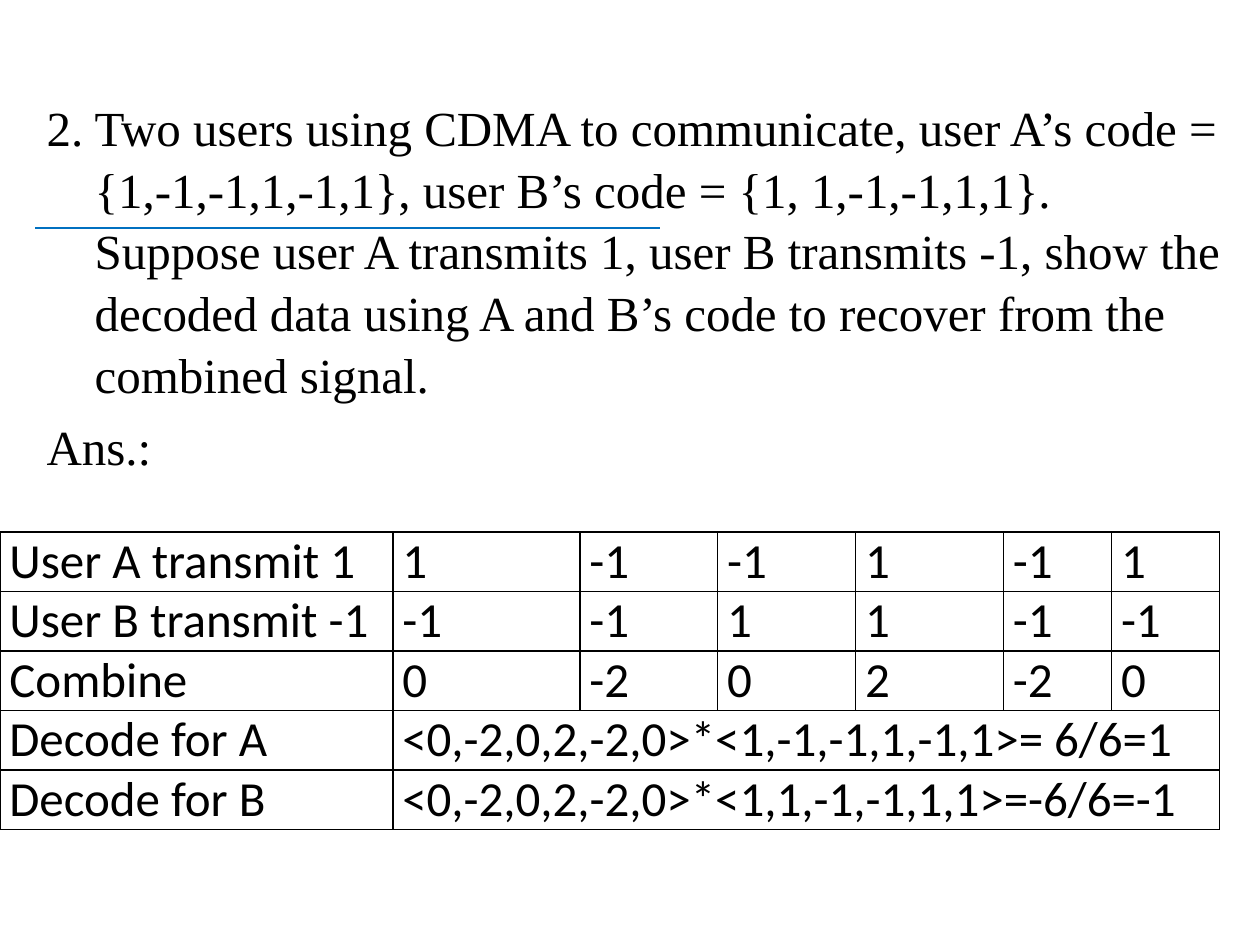
import pptx
import pptx.util
import pptx.dml.color
import pptx.enum.shapes
import pptx.enum.text
import pptx.oxml
import pptx.oxml.ns

Cm = pptx.util.Cm
Pt = pptx.util.Pt
NAMESPACE = pptx.oxml.ns.nsdecls("a")


def color(hex_value):
    return pptx.dml.color.RGBColor.from_string(hex_value)


def write(para, text, font_name, para_format):
    """Fill a paragraph with one black span and apply its format values."""
    for name, value in para_format.items():
        setattr(para, name, value)
    span = para.add_run()
    span.text = text
    for name, value in {"name": font_name, "size": Pt(28), "bold": False}.items():
        setattr(span.font, name, value)
    span.font.color.rgb = color("000000")


deck = pptx.Presentation()
deck.slide_width, deck.slide_height = Cm(25.4), Cm(19.05)
page = deck.slides.add_slide(deck.slide_layouts[6])

# Blue rule behind the text
rule = page.shapes.add_connector(
    pptx.enum.shapes.MSO_CONNECTOR.STRAIGHT, Cm(0.71), Cm(4.6), Cm(13.31), Cm(4.6))
rule.line.color.rgb = color("0070C0")
rule.line.width = Pt(1.25)
rule._element.spPr.append(pptx.oxml.parse_xml(f"<a:effectLst {NAMESPACE}/>"))

# Question and answer heading
box = page.shapes.add_textbox(Cm(0.69), Cm(1.78), Cm(24.18), Cm(15.24))
frame = box.text_frame
frame.word_wrap = True
texts = [
    "2. Two users using CDMA to communicate, user A’s code = {1,-1,-1,1,-1,1}, "
    "user B’s code = {1, 1,-1,-1,1,1}. Suppose user A transmits 1, user B transmits -1, "
    "show the decoded data using A and B’s code to recover from the combined signal.",
    "Ans.:",
]
for index, text in enumerate(texts):
    para = frame.add_paragraph() if index else frame.paragraphs[0]
    write(para, text, "Times New Roman", {"space_before": Pt(5.6), "line_spacing": 1.05})
    # Hanging indent
    properties = para._p.get_or_add_pPr()
    properties.set("marL", str(Cm(0.97)))
    properties.set("indent", str(-Cm(0.97)))

# Table of transmitted, combined and decoded signals
rows = [
    ["User A transmit 1", "1", "-1", "-1", "1", "-1", "1"],
    ["User B transmit -1", "-1", "-1", "1", "1", "-1", "-1"],
    ["Combine", "0", "-2", "0", "2", "-2", "0"],
    ["Decode for A", "<0,-2,0,2,-2,0>*<1,-1,-1,1,-1,1>= 6/6=1"],
    ["Decode for B", "<0,-2,0,2,-2,0>*<1,1,-1,-1,1,1>=-6/6=-1"],
]
widths = [7.92, 3.77, 2.78, 2.78, 2.98, 2.18, 2.18]
row_height = 1.2
table = page.shapes.add_table(
    len(rows), len(widths), Cm(0), Cm(10.72),
    Cm(sum(widths)), Cm(row_height * len(rows))).table
table.first_row = table.horz_banding = False
for column, width in zip(table.columns, widths):
    column.width = Cm(width)

cell_format = {"margin_left": Cm(0.19), "margin_right": Cm(0.19),
               "margin_top": 0, "margin_bottom": 0}
for row_index, values in enumerate(rows):
    table.rows[row_index].height = Cm(row_height)
    # A decoded result spans all the signal columns
    if len(values) < len(widths):
        table.cell(row_index, 1).merge(table.cell(row_index, len(widths) - 1))
    for column_index in range(len(widths)):
        cell = table.cell(row_index, column_index)
        for name, value in cell_format.items():
            setattr(cell, name, value)
        # Borders come before the fill in the cell properties
        for side in ("lnL", "lnR", "lnT", "lnB"):
            cell._tc.get_or_add_tcPr().append(pptx.oxml.parse_xml(
                f'<a:{side} {NAMESPACE} w="{Pt(1)}"><a:solidFill>'
                f'<a:srgbClr val="000000"/></a:solidFill></a:{side}>'))
        cell.fill.background()
        if column_index < len(values):
            write(cell.text_frame.paragraphs[0], values[column_index], "Calibri",
                  {"alignment": pptx.enum.text.PP_ALIGN.JUSTIFY})

deck.save("out.pptx")
